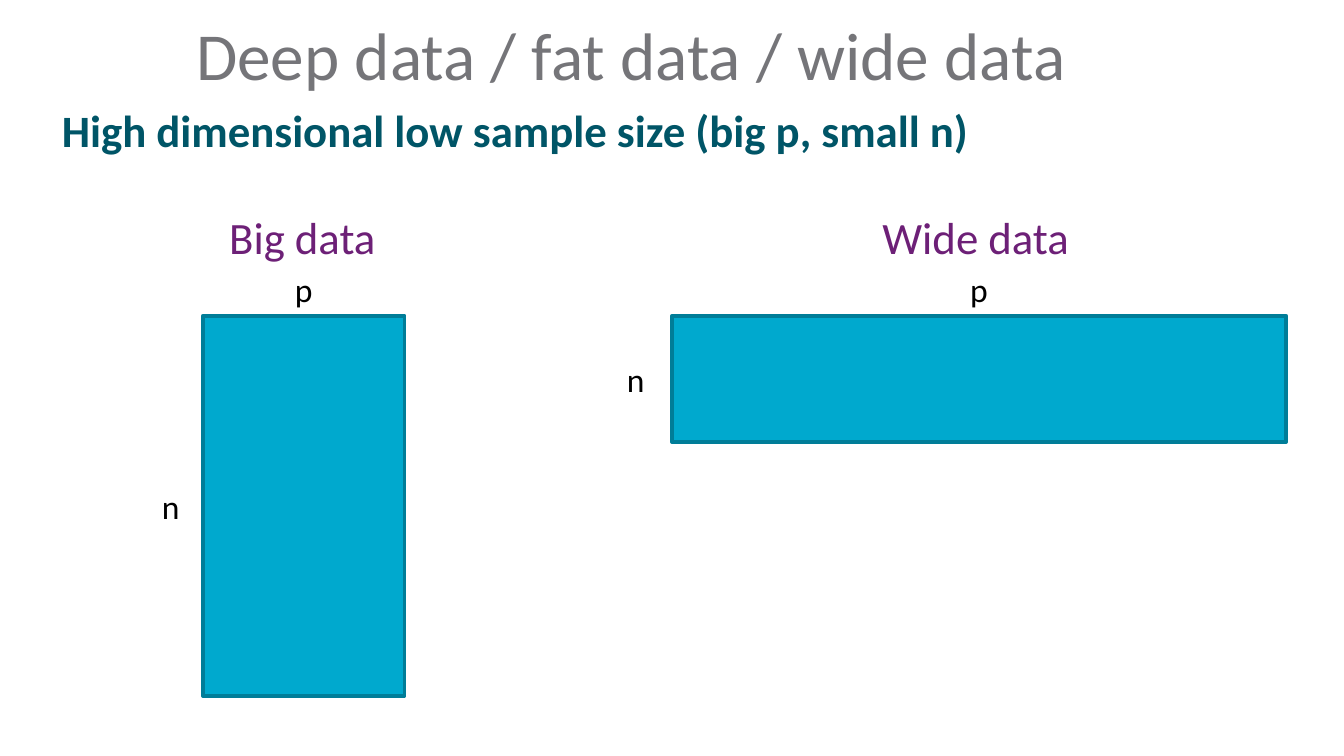
"""Build a slide comparing the shapes of big data and wide data."""
from pptx import Presentation
from pptx.dml.color import RGBColor
from pptx.enum.shapes import MSO_SHAPE
from pptx.enum.text import PP_ALIGN
from pptx.util import Inches, Pt

RECT = MSO_SHAPE.RECTANGLE
LEFT, CENTER = PP_ALIGN.LEFT, PP_ALIGN.CENTER
FONT = "Calibri"
GREY, TEAL, PURPLE, BLACK = "757579", "005567", "6D2077", "000000"
FILL, EDGE = "00A9CE", "007D98"

TITLE = "Deep data / fat data / wide data"
SUBTITLE = "High dimensional low sample size (big p, small n)"
MATRICES = [
    {"name": "Big data", "name_x": 2.25, "name_w": 1.3, "n_x": 1.27,
     "box": (1.51, 2.35, 1.5, 2.83)},
    {"name": "Wide data", "name_x": 7.26, "name_w": 1.6, "n_x": 4.73,
     "box": (5, 2.35, 4.57, 0.94)},
]
NAME_H, NAME_Y = 0.5, 1.76
LABEL_W, LABEL_H = 0.34, 0.4


def rgb(value):
    return RGBColor.from_string(value)


def add_text(slide, text, box, size, color, bold=False, align=LEFT, inset=0, wrap=True):
    tf = slide.shapes.add_textbox(*map(Inches, box)).text_frame
    tf.word_wrap = wrap
    tf.margin_left = tf.margin_right = Inches(inset)
    tf.margin_top = tf.margin_bottom = Inches(inset / 2)
    tf.text = text
    p = tf.paragraphs[0]
    p.alignment = align
    font = p.runs[0].font
    font.name, font.size, font.bold = FONT, Pt(size), bold
    font.color.rgb = rgb(color)
    return p


def add_label(slide, text, x, y, w, h, size, color):
    box = (x - w / 2, y - h / 2, w, h)
    add_text(slide, text, box, size, color, align=CENTER, inset=0.1, wrap=False)


def add_matrix(slide, matrix):
    x, y, w, h = matrix["box"]
    sp = slide.shapes.add_shape(RECT, *map(Inches, matrix["box"]))
    sp.shadow.inherit = False
    sp.fill.solid()
    sp.fill.fore_color.rgb = rgb(FILL)
    sp.line.color.rgb = rgb(EDGE)
    sp.line.width = Pt(2)
    add_label(slide, matrix["name"], matrix["name_x"], NAME_Y, matrix["name_w"], NAME_H, 24, PURPLE)
    add_label(slide, "p", x + w / 2, y - LABEL_H / 2, LABEL_W, LABEL_H, 18, BLACK)
    add_label(slide, "n", matrix["n_x"], y + h / 2, LABEL_W, LABEL_H, 18, BLACK)


def main():
    prs = Presentation()
    prs.slide_width = Inches(10)
    prs.slide_height = prs.slide_width * 9 // 16
    slide = prs.slides.add_slide(prs.slide_layouts[6])
    add_text(slide, TITLE, (1.46, 0.1, 7.88, 0.61), 36, GREY)
    p = add_text(slide, SUBTITLE, (0.46, 0.81, 8.88, 0.36), 24, TEAL, bold=True)
    p.line_spacing = 0.9
    for matrix in MATRICES:
        add_matrix(slide, matrix)
    prs.save("out.pptx")


if __name__ == "__main__":
    main()
